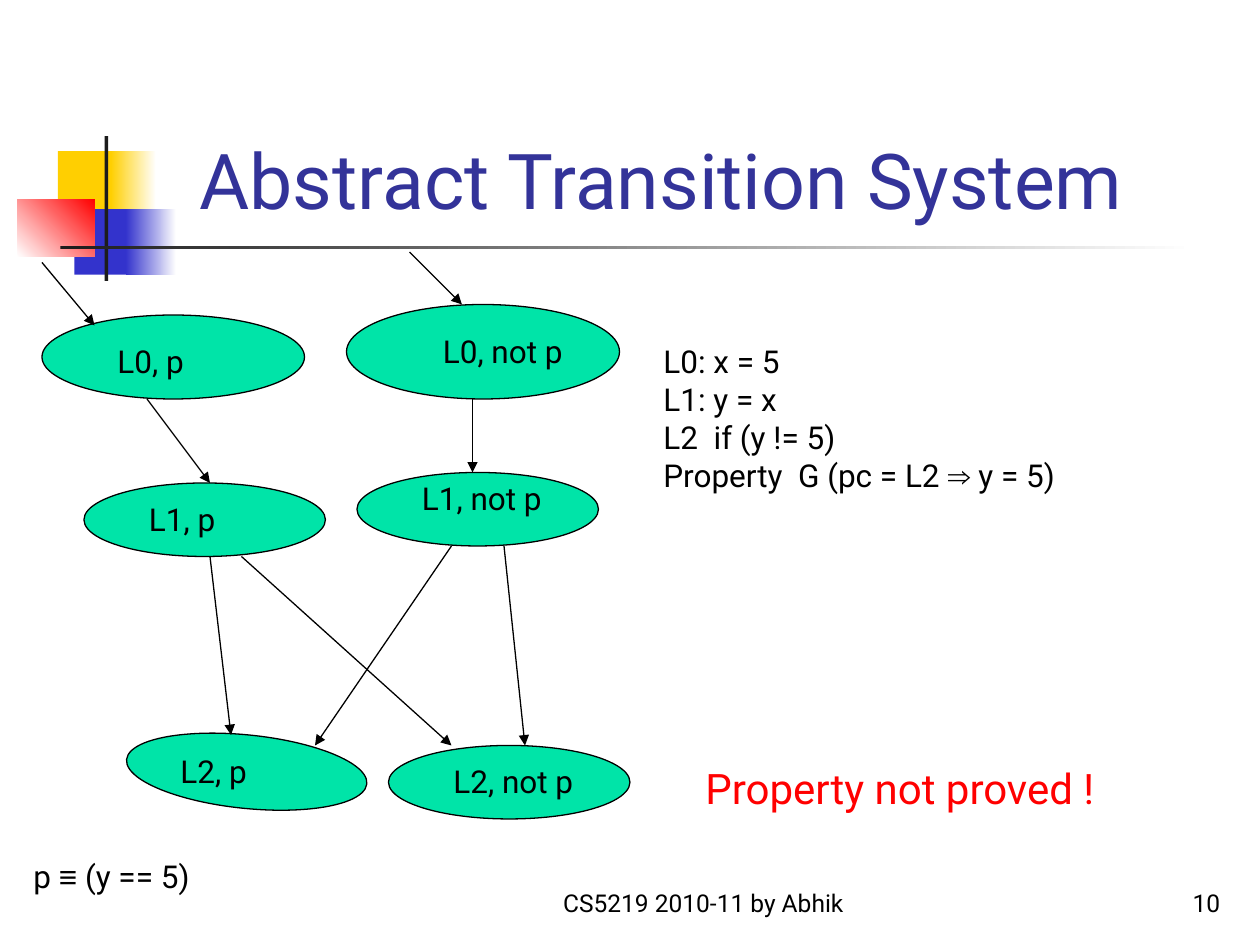
from dataclasses import dataclass

from lxml import etree
from pptx import Presentation
from pptx.dml.color import RGBColor
from pptx.enum.shapes import MSO_CONNECTOR, MSO_SHAPE
from pptx.enum.text import MSO_ANCHOR, MSO_AUTO_SIZE, PP_ALIGN
from pptx.oxml.ns import qn
from pptx.util import Inches, Pt

RECT, OVAL, STRAIGHT = MSO_SHAPE.RECTANGLE, MSO_SHAPE.OVAL, MSO_CONNECTOR.STRAIGHT
LEFT, CENTER, RIGHT = PP_ALIGN.LEFT, PP_ALIGN.CENTER, PP_ALIGN.RIGHT
TOP, BOTTOM = MSO_ANCHOR.TOP, MSO_ANCHOR.BOTTOM
NO_AUTOFIT = MSO_AUTO_SIZE.NONE

# The slide is a grid of 120 columns by 90 rows
COLS, ROWS = 120, 90
CELL = Inches(10) // COLS


@dataclass(frozen=True)
class Theme:
    font: str = "Roboto"
    symbol_font: str = "Arial"
    title: str = "333399"
    ink: str = "000000"
    alert: str = "FF0000"
    node: str = "00E4A8"
    yellow: str = "FFCF01"
    blue: str = "3333CC"
    bar: str = "1C1C1C"
    paper: str = "FFFFFF"
    title_size: int = 44
    verdict_size: int = 24
    body_size: int = 18
    footer_size: int = 14
    line_width: float = 0.75


THEME = Theme()
SYMBOLS = "≡⇒"


def cells(*values):
    return [round(value * CELL) for value in values]


def within(box, col, row, *size):
    return cells(box[0] + col, box[1] + row, *size)


def apply(target, formats):
    for name, value in formats.items():
        setattr(target, name, value)


def split_symbols(line):
    """Cut a line into runs, with each symbol in a run of its own."""
    runs = [""]
    for letter in line:
        if letter in SYMBOLS:
            runs += [letter, ""]
        else:
            runs[-1] += letter
    return [run for run in runs if run]


def write(frame, lines, size, color, align=LEFT, anchor=TOP):
    apply(frame, {"word_wrap": True, "auto_size": NO_AUTOFIT, "vertical_anchor": anchor})
    for index, line in enumerate(lines):
        paragraph = frame.paragraphs[0] if index == 0 else frame.add_paragraph()
        paragraph.alignment = align
        for text in split_symbols(line):
            run = paragraph.add_run()
            run.text = text
            family = THEME.symbol_font if text in SYMBOLS else THEME.font
            apply(run.font, {"name": family, "size": Pt(size)})
            run.font.color.rgb = RGBColor.from_string(color)


def add_text(slide, box, lines, size=THEME.body_size, color=THEME.ink, **layout):
    label = slide.shapes.add_textbox(*cells(*box))
    write(label.text_frame, lines, size, color, **layout)


def add_ornament(slide, box):
    """Coloured squares with a crossing upright and rule."""
    parts = [  # place in the box, colours, angle
        ((3.84, 1.44, 5.76, 6.24), [THEME.yellow], 0),
        ((8.88, 1.44, 4.32, 6.24), [THEME.yellow, THEME.paper], 0),
        ((5.4, 6.96, 5.52, 6.24), [THEME.blue], 0),
        ((10.32, 6.96, 4.8, 6.24), [THEME.blue, THEME.paper], 0),
        ((0, 6, 7.32, 5.52), [THEME.paper, THEME.alert], 45),
        ((8.28, 0, 0.36, 13.8), [THEME.bar], 0),
        ((4.08, 10.44, 108, 0.36), [THEME.bar, THEME.paper], 0),
    ]
    for place, colors, angle in parts:
        block = slide.shapes.add_shape(RECT, *within(box, *place))
        block.shadow.inherit = False
        block.line.fill.background()
        if len(colors) == 1:
            block.fill.solid()
            block.fill.fore_color.rgb = RGBColor.from_string(colors[0])
            continue
        block.fill.gradient()
        block.fill.gradient_angle = angle
        for stop, color in zip(block.fill.gradient_stops, colors):
            stop.color.rgb = RGBColor.from_string(color)


def add_title(slide, box, text):
    title = slide.shapes.title
    apply(title, dict(zip(("left", "top", "width", "height"), cells(*box))))
    write(title.text_frame, [text], THEME.title_size, THEME.title, anchor=BOTTOM)


def add_state(slide, place, rotation):
    state = slide.shapes.add_shape(OVAL, *place)
    state.shadow.inherit = False
    state.rotation = rotation
    state.fill.solid()
    state.fill.fore_color.rgb = RGBColor.from_string(THEME.node)
    state.line.color.rgb = RGBColor.from_string(THEME.ink)
    state.line.width = Pt(THEME.line_width)


def add_transition(slide, start, end):
    arrow = slide.shapes.add_connector(STRAIGHT, *start, *end)
    arrow.line.color.rgb = RGBColor.from_string(THEME.ink)
    arrow.line.width = Pt(THEME.line_width)
    etree.SubElement(arrow.line._get_or_add_ln(), qn("a:tailEnd"), type="triangle")
    etree.SubElement(arrow._element.spPr, qn("a:effectLst"))


def add_transition_system(slide, box):
    states = [  # name, ellipse, rotation, label corner
        ("L0, p", (0, 6, 25, 8), 0, (6, 8)),
        ("L0, not p", (29, 5, 26, 9), 0, (37, 7)),
        ("L1, p", (4, 22, 23, 7), 0, (9, 23)),
        ("L1, not p", (30, 21, 23, 7), 0, (35, 21)),
        ("L2, p", (8, 46, 23, 7), 5.8, (12, 47)),
        ("L2, not p", (33, 47, 23, 7), 0, (38, 48)),
    ]
    transitions = [
        ((0, 1), (5, 7)),  # into L0, p
        ((35, 0), (40, 5)),  # into L0, not p
        ((10, 14), (16, 22)),
        ((41, 14), (41, 21)),
        ((16, 29), (18, 46)),
        ((19, 29), (39, 47)),
        ((39, 28), (26, 47)),
        ((44, 28), (46, 47)),
    ]
    for name, ellipse, rotation, (col, row) in states:
        add_state(slide, within(box, *ellipse), rotation)
        add_text(slide, (box[0] + col, box[1] + row, 16, 4.8), [name])
    for start, end in transitions:
        add_transition(slide, within(box, *start), within(box, *end))


def add_footer(slide, box, text, number):
    left, top, width, height = box
    style = {"size": THEME.footer_size, "anchor": BOTTOM}
    add_text(slide, (left, top, 38, height), [text], align=CENTER, **style)
    add_text(slide, (left + width - 25, top, 25, height), [number], align=RIGHT, **style)


def main():
    deck = Presentation()
    deck.slide_width, deck.slide_height = cells(COLS, ROWS)
    slide = deck.slides.add_slide(deck.slide_layouts[5])

    add_ornament(slide, (1.68, 12.96))
    add_title(slide, (17.8, 2.8, 102.2, 19.2), "Abstract Transition System")
    add_transition_system(slide, (4, 24))

    # Program, verdict and meaning of the predicate
    program = ["L0: x = 5", "L1: y = x", "L2  if (y != 5)", "Property  G (pc = L2 ⇒ y = 5)"]
    add_text(slide, (62, 32, 58, 15.6), program)
    add_text(slide, (66, 72, 54, 6), ["Property not proved !"],
             size=THEME.verdict_size, color=THEME.alert)
    add_text(slide, (2, 81, 24, 4.8), ["p ≡ (y == 5)"])

    add_footer(slide, (48, 82, 69.4, 6), "CS5219 2010-11 by Abhik", "10")
    deck.save("out.pptx")


if __name__ == "__main__":
    main()
